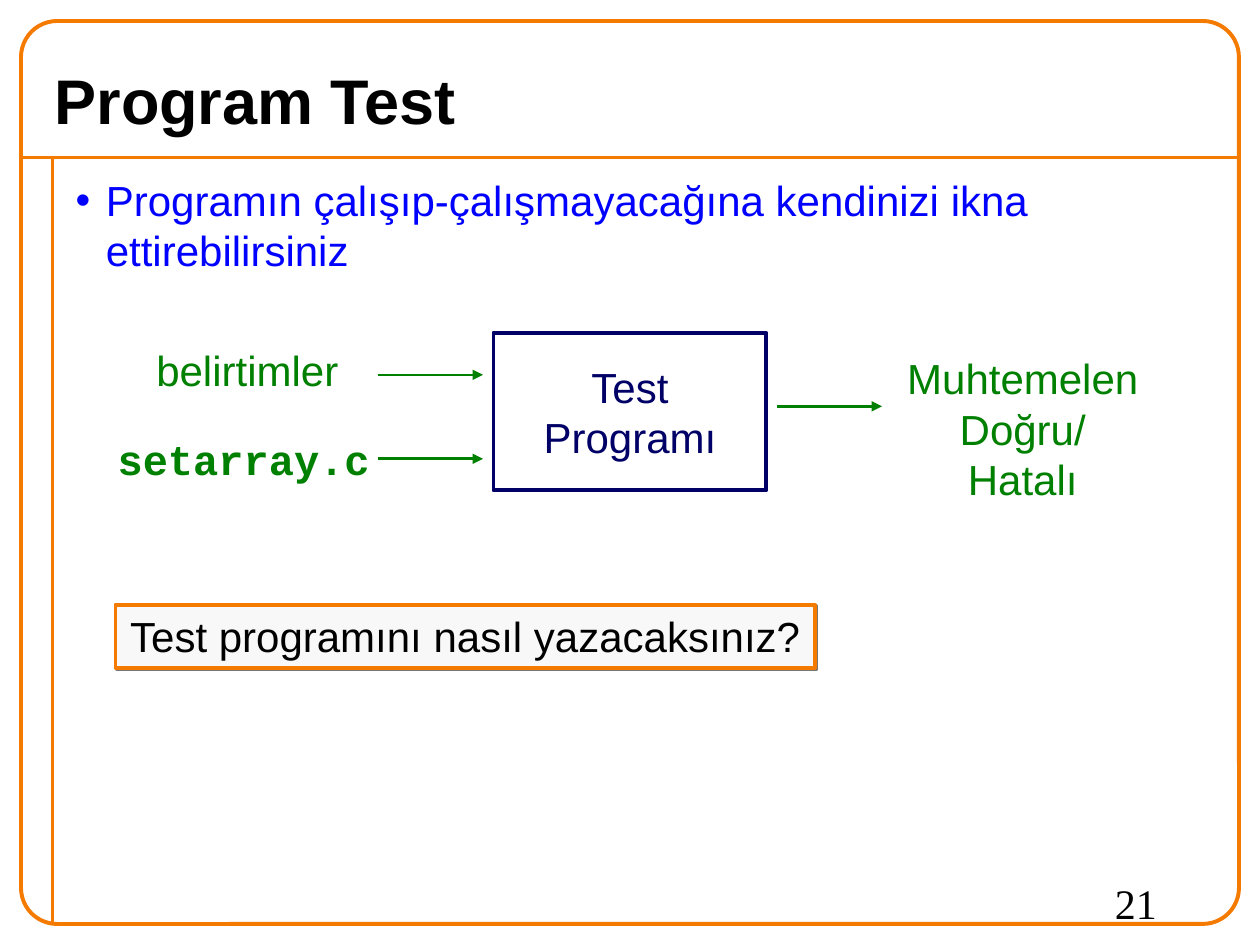
from dataclasses import dataclass

from pptx import Presentation
from pptx.dml.color import RGBColor as RGB
from pptx.enum.shapes import MSO_CONNECTOR as Link, MSO_SHAPE as Preset
from pptx.enum.text import MSO_ANCHOR as Anchor, MSO_AUTO_SIZE as Fit, PP_ALIGN as Align
from pptx.oxml import parse_xml
from pptx.oxml.ns import nsdecls
from pptx.util import Inches, Pt


@dataclass(frozen=True)
class Theme:
    orange: str = "F47A00"
    blue: str = "0000FF"
    navy: str = "000066"
    green: str = "008000"
    black: str = "000000"
    pale: str = "F8F8F8"
    shade: str = "777777"
    sans: str = "Arial"
    mono: str = "Courier New"
    serif: str = "Times New Roman"
    title: int = 36
    text: int = 24
    rule: float = 2.25
    arrow: float = 1.5


class Deck:
    """Draws styled elements on a grid of 120 columns by 90 rows."""

    def __init__(self, theme):
        self.theme = theme
        self.prs = Presentation()
        self.prs.slide_width, self.prs.slide_height = Inches(10), Inches(7.5)
        self.s = self.prs.slides.add_slide(self.prs.slide_layouts[1])

    def grid(self, *cells):
        return [Inches(cell / 12) for cell in cells]

    def set_text(self, sp, text, color, font=None, size=None, bold=False,
                 align=Align.CENTER, **frame):
        tf = sp.text_frame
        for name, value in frame.items():
            setattr(tf, name, value)
        tf.text = text
        style = {"name": font or self.theme.sans, "size": Pt(size or self.theme.text),
                 "bold": bold}
        for p in tf.paragraphs:
            p.alignment = align
            for r in p.runs:
                for name, value in style.items():
                    setattr(r.font, name, value)
                r.font.color.rgb = RGB.from_string(color)
        return sp

    def placeholder(self, index, at, text, color, **style):
        sp = self.s.placeholders[index]
        for name, value in zip(("left", "top", "width", "height"), self.grid(*at)):
            setattr(sp, name, value)
        sp.element.getparent().append(sp.element)
        return self.set_text(sp, text, color, align=Align.LEFT, word_wrap=True, **style)

    def bullet(self, sp, color, indent, before):
        sp.text_frame.paragraphs[0].space_before = Pt(before)
        pPr = sp.element.txBody.p_lst[0].get_or_add_pPr()
        pPr.set("marL", str(Inches(indent)))
        pPr.set("indent", str(-Inches(indent)))
        for xml in (f'<a:buClr {nsdecls("a")}><a:srgbClr val="{color}"/></a:buClr>',
                    f'<a:buChar {nsdecls("a")} char="•"/>'):
            pPr.append(parse_xml(xml))

    def label(self, at, text, color, **style):
        return self.set_text(self.s.shapes.add_textbox(*self.grid(*at)), text, color, **style)

    def box(self, at, line, preset=Preset.RECTANGLE, fill=None):
        sp = self.s.shapes.add_shape(preset, *self.grid(*at))
        sp.shadow.inherit = False
        sp.line.color.rgb = RGB.from_string(line)
        sp.line.width = Pt(self.theme.rule)
        if fill:
            sp.fill.solid()
            sp.fill.fore_color.rgb = RGB.from_string(fill)
        else:
            sp.fill.background()
        return sp

    def drop_shadow(self, sp, color, distance):
        sp.element.spPr.find("{*}effectLst").append(parse_xml(
            f'<a:outerShdw {nsdecls("a")} dist="{Pt(distance)}" dir="2700000" algn="ctr" '
            f'rotWithShape="0"><a:srgbClr val="{color}"/></a:outerShdw>'))

    def line(self, ends, color, width, arrow=False):
        cx = self.s.shapes.add_connector(Link.STRAIGHT, *self.grid(*ends))
        cx.line.color.rgb = RGB.from_string(color)
        cx.line.width = Pt(width)
        spPr = cx.element.spPr
        if arrow:
            spPr.find("{*}ln").append(
                parse_xml(f'<a:tailEnd {nsdecls("a")} type="triangle"/>'))
        spPr.append(parse_xml(f'<a:effectLst {nsdecls("a")}/>'))


def main():
    t = Theme()
    deck = Deck(t)
    for ends in ((2, 15, 118, 15), (5, 15, 5, 88)):
        deck.line(ends, t.orange, t.rule)
    border = deck.box((2, 2, 116, 86), t.orange, Preset.ROUNDED_RECTANGLE)
    border.adjustments[0] = 0.04

    deck.placeholder(0, (4, 5, 112, 9), "Program Test", t.black, size=t.title, bold=True,
                     vertical_anchor=Anchor.MIDDLE, auto_size=Fit.NONE)
    body = deck.placeholder(
        1, (6, 16, 111, 72),
        "Programın çalışıp-çalışmayacağına kendinizi ikna ettirebilirsiniz",
        t.blue, vertical_anchor=Anchor.TOP, auto_size=Fit.NONE)
    deck.bullet(body, t.blue, indent=0.24, before=15)

    deck.set_text(deck.box((47, 31.7, 26, 15), t.navy), "Test\nProgramı", t.navy,
                  word_wrap=False, vertical_anchor=Anchor.MIDDLE)
    fitted = {"word_wrap": False, "auto_size": Fit.SHAPE_TO_FIT_TEXT,
              "vertical_anchor": Anchor.TOP}
    for at, text, style in (
            ((10, 40.7, 26.4, 6), "setarray.c", {"font": t.mono, "bold": True}),
            ((85, 33, 24.8, 10.8), "Muhtemelen\nDoğru/Hatalı", {}),
            ((13.7, 32.2, 19.7, 6), "belirtimler", {})):
        deck.label(at, text, t.green, **style, **fitted)
    for x, y in ((36, 43.7), (74, 38.7), (36, 35.7)):
        deck.line((x, y, x + 10, y), t.green, t.arrow, arrow=True)

    question = deck.box((11, 57.6, 66.6, 6), t.orange, fill=t.pale)
    deck.drop_shadow(question, t.shade, 1.4)
    deck.set_text(question, "Test programını nasıl yazacaksınız?", t.black, **fitted)
    deck.label((105, 83, 12, 6), "21", t.black, font=t.serif, align=Align.LEFT,
               word_wrap=True)
    deck.prs.save("out.pptx")


if __name__ == "__main__":
    main()
